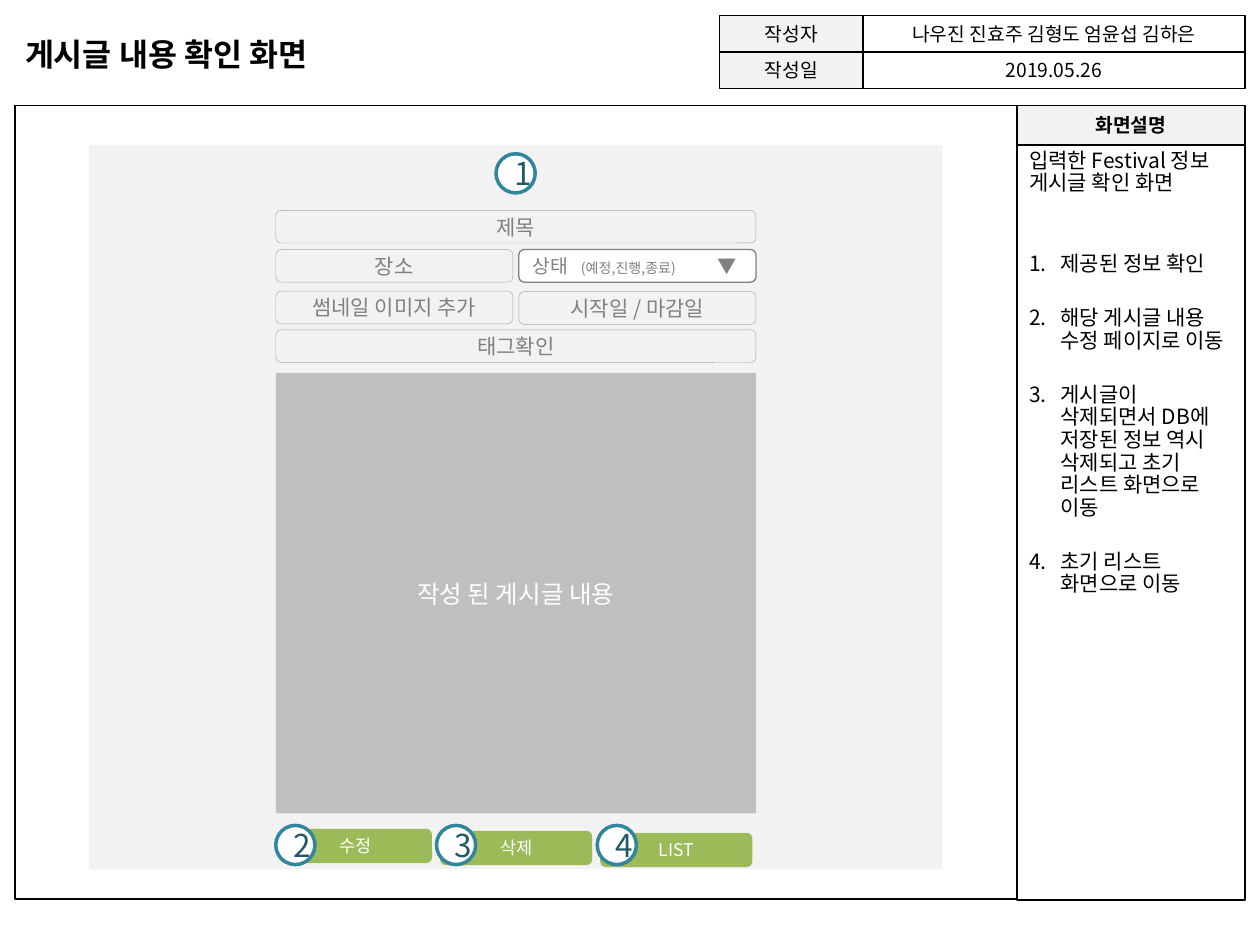
from dataclasses import dataclass

from lxml import etree
from pptx import Presentation
from pptx.dml.color import RGBColor
from pptx.enum.shapes import MSO_SHAPE
from pptx.enum.text import MSO_ANCHOR, MSO_AUTO_SIZE, PP_ALIGN
from pptx.oxml.ns import qn
from pptx.util import Cm, Pt

RECT, ROUND, OVAL = MSO_SHAPE.RECTANGLE, MSO_SHAPE.ROUNDED_RECTANGLE, MSO_SHAPE.OVAL
LEFT, CENTER = PP_ALIGN.LEFT, PP_ALIGN.CENTER
TOP, MIDDLE = MSO_ANCHOR.TOP, MSO_ANCHOR.MIDDLE


@dataclass(frozen=True)
class Theme:
    font: str = "Noto Sans CJK KR"
    head: str = "Arial"
    black: str = "000000"
    white: str = "FFFFFF"
    pale: str = "F2F2F2"
    edge: str = "A6A6A6"
    gray: str = "808080"
    body: str = "BFBFBF"
    green: str = "9BBB59"
    teal: str = "31859C"
    deep: str = "215968"
    big: float = 18
    mid: float = 14
    base: float = 12
    cell: float = 11
    small: float = 10
    tiny: float = 8


@dataclass(frozen=True)
class Style:
    kind: int = RECT
    fill: str = ""
    line: str = ""
    width: float = 0
    size: float = 12
    color: str = "000000"
    bold: bool = False
    font: str = "Noto Sans CJK KR"


@dataclass(frozen=True)
class Box:
    x: float
    y: float
    w: float
    h: float
    text: str = ""


T = Theme()
PANEL = Style(line=T.black, width=1)
LABEL = Style(fill=T.pale, line=T.black, width=0.75, size=T.cell)
VALUE = Style(line=T.black, width=0.75, size=T.cell)
HEAD = Style(fill=T.pale, line=T.black, width=1, size=T.cell, bold=True, font=T.head)
FIELD = Style(ROUND, T.pale, T.edge, 0.25, T.base, T.gray)
PICK = Style(ROUND, T.white, T.gray, 0.75, T.cell, T.gray)
BODY = Style(fill=T.body, size=T.mid, color=T.white)
BUTTON = Style(ROUND, T.green, size=T.small, color=T.white)
BADGE = Style(OVAL, T.white, T.teal, 2, T.big, T.deep)

prs = Presentation()
prs.slide_width, prs.slide_height = Cm(25.4), Cm(19.05)
slide = prs.slides.add_slide(prs.slide_layouts[5])


def write(para, text: str, style: Style, size: float = 0) -> None:
    run = para.add_run()
    run.text = text
    look = {"name": style.font, "size": Pt(size or style.size), "bold": style.bold}
    for key, value in look.items():
        setattr(run.font, key, value)
    run.font.color.rgb = RGBColor.from_string(style.color)
    latin = run.font._element.find(qn("a:latin"))
    asian = etree.Element(qn("a:ea"), typeface=T.font)
    latin.addnext(asian)


def draw(box: Box, style: Style):
    shape = slide.shapes.add_shape(
        style.kind, Cm(box.x), Cm(box.y), Cm(box.w), Cm(box.h))
    shape.shadow.inherit = False
    if style.fill:
        shape.fill.solid()
        shape.fill.fore_color.rgb = RGBColor.from_string(style.fill)
    else:
        shape.fill.background()
    if style.line:
        shape.line.color.rgb = RGBColor.from_string(style.line)
        shape.line.width = Pt(style.width)
    else:
        shape.line.fill.background()
    frame = shape.text_frame
    frame.word_wrap, frame.vertical_anchor = True, MIDDLE
    if box.text:
        frame.paragraphs[0].alignment = CENTER
        write(frame.paragraphs[0], box.text, style)
    return shape


def number(para, start: int) -> None:
    props = para._p.get_or_add_pPr()
    props.set("marL", str(Cm(0.63)))
    props.set("indent", str(Cm(-0.63)))
    etree.SubElement(props, qn("a:buFont"), typeface=T.font)
    etree.SubElement(props, qn("a:buAutoNum"), type="arabicPeriod", startAt=str(start))


# Title
title = slide.shapes.title
place = {"left": Cm(0.25), "top": Cm(0.58), "width": Cm(7.7), "height": Cm(1.02)}
for key, value in place.items():
    setattr(title, key, value)
frame = title.text_frame
frame.auto_size, frame.vertical_anchor = MSO_AUTO_SIZE.NONE, MIDDLE
frame.paragraphs[0].alignment = LEFT
write(frame.paragraphs[0], "게시글 내용 확인 화면", Style(size=T.big, bold=True))

# Notes panel
notes = draw(Box(20.5, 2.87, 4.6, 15.27), PANEL).text_frame
inset = {"margin_left": Cm(0.25), "margin_right": Cm(0.25),
         "margin_top": Cm(0.15), "margin_bottom": Cm(0.15), "vertical_anchor": TOP}
for key, value in inset.items():
    setattr(notes, key, value)
lines = ["입력한 Festival 정보 게시글 확인 화면", "제공된 정보 확인",
         "해당 게시글 내용 수정 페이지로 이동",
         "게시글이 삭제되면서 DB에 저장된 정보 역시 삭제되고 초기 리스트 화면으로 이동",
         "초기 리스트 화면으로 이동"]
gaps = [2.4, 33.4, 18, 18, 18]
for index, (line, gap) in enumerate(zip(lines, gaps)):
    para = notes.add_paragraph() if index else notes.paragraphs[0]
    form = {"alignment": LEFT, "line_spacing": Pt(12.9), "space_before": Pt(gap)}
    for key, value in form.items():
        setattr(para, key, value)
    if index:
        number(para, index)
    write(para, line, PANEL)
draw(Box(20.5, 2.13, 4.6, 0.79, "화면설명"), HEAD)

# Screen frame
draw(Box(0.3, 2.13, 20.2, 16), Style(fill=T.white, line=T.black, width=1))

# Author block
facts = [("작성자", "나우진 진효주 김형도 엄윤섭 김하은"), ("작성일", "2019.05.26")]
for row, (label, value) in enumerate(facts):
    top = 0.32 + row * 0.73
    draw(Box(14.5, top, 2.9, 0.73, label), LABEL)
    draw(Box(17.4, top, 7.7, 0.73, value), VALUE)

# Form fields
draw(Box(1.8, 2.92, 17.2, 14.6), Style(fill=T.pale))
X, WIDE, HALF, HIGH = 5.56, 9.68, 4.78, 0.66
RIGHT = X + WIDE - HALF
fields = [Box(X, 4.24, WIDE, HIGH, "제목"),
          Box(X, 5.03, HALF, HIGH, "장소"),
          Box(X, 5.87, HALF, HIGH, "썸네일 이미지 추가"),
          Box(RIGHT, 5.88, HALF, HIGH, "시작일 / 마감일"),
          Box(X, 6.65, WIDE, HIGH, "태그확인")]
for field in fields:
    draw(field, FIELD)

# State picker
para = draw(Box(RIGHT, 5.03, HALF, HIGH), PICK).text_frame.paragraphs[0]
para.alignment = LEFT
stops = etree.SubElement(para._p.get_or_add_pPr(), qn("a:tabLst"))
for stop in (0.97, 3.73):
    etree.SubElement(stops, qn("a:tab"), pos=str(Cm(stop)), algn="l")
for text, size in [("상태", T.cell), ("\t(예정,진행,종료)", T.tiny), ("\t▼", T.cell)]:
    write(para, text, PICK, size)

draw(Box(X, 7.52, WIDE, 8.88, "작성 된 게시글 내용"), BODY)

# Buttons and badges
draw(Box(10, 3.1, 0.79, 0.79, "1"), BADGE)
for index, text in enumerate(["수정", "삭제", "LIST"]):
    draw(Box(5.64 + index * 3.23, 16.71 + index * 0.04, 3.07, 0.69, text), BUTTON)
    draw(Box(X + index * 3.24, 16.64, 0.79, 0.79, str(index + 2)), BADGE)

prs.save("out.pptx")
